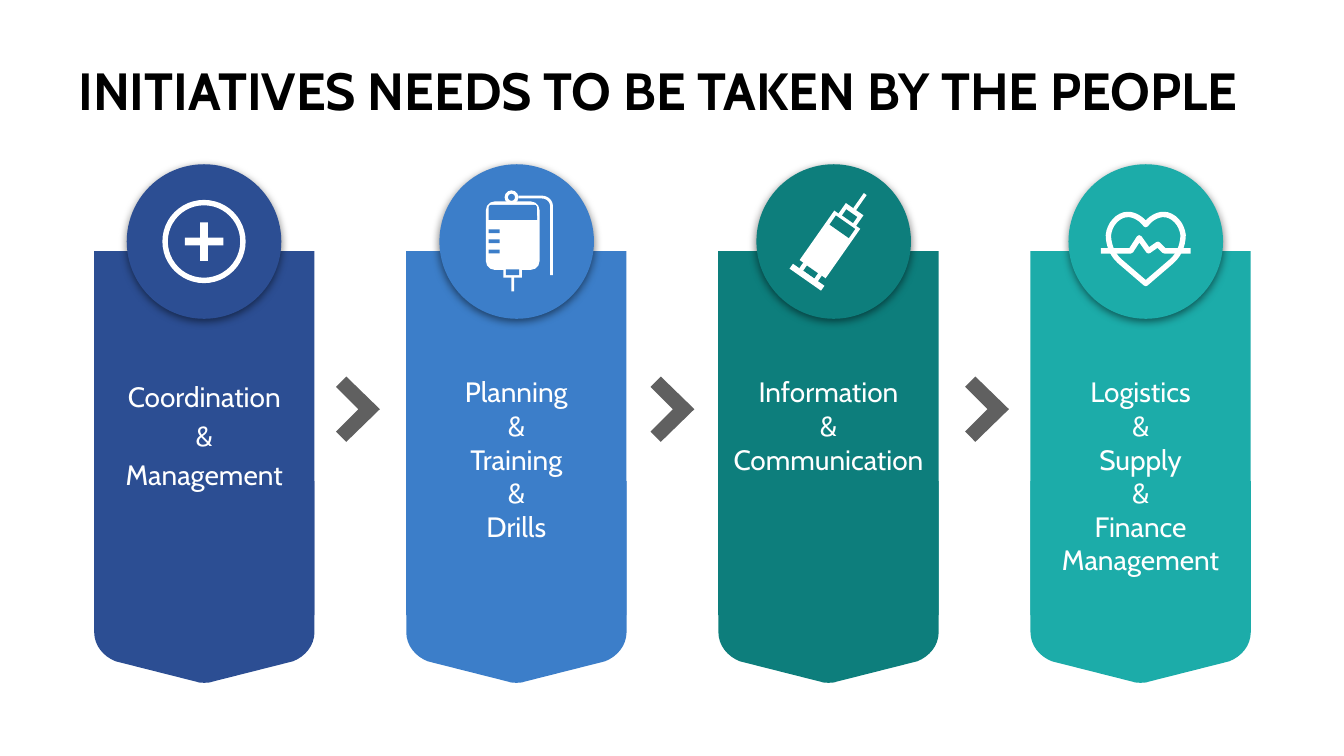
from math import cos, radians, sin

from lxml import etree
from pptx import Presentation
from pptx.dml.color import RGBColor
from pptx.enum.shapes import MSO_SHAPE
from pptx.enum.text import PP_ALIGN
from pptx.oxml.ns import qn
from pptx.util import Pt

RECT, OVAL = MSO_SHAPE.RECTANGLE, MSO_SHAPE.OVAL
DONUT, CROSS = MSO_SHAPE.DONUT, MSO_SHAPE.CROSS
ROUND, DOME = MSO_SHAPE.ROUNDED_RECTANGLE, MSO_SHAPE.ROUND_2_SAME_RECTANGLE
MID = PP_ALIGN.CENTER
FONT = "Cabin"
HUE = {"navy": "2C4E93", "blue": "3C7EC9", "pine": "0D7E7C", "teal": "1CACA9",
       "gray": "606060", "white": "FFFFFF", "black": "000000"}

# Content
TITLE = "INITIATIVES NEEDS TO BE TAKEN BY THE PEOPLE"
# colour, icon, circle centre, line spacing, label
STEPS = [
    ("navy", "plus", 109.3, 1.15, ["Coordination", "&", "Management"]),
    ("blue", "drip", 276.8, 1, ["Planning", "&", "Training", "&", "Drills"]),
    ("pine", "dose", 446.6, 1, ["Information", "&", "Communication"]),
    ("teal", "heart", 613.8, 1,
     ["Logistics", "&", "Supply", "&", "Finance", "Management"]),
]

# Outlines in points: a pair is a line end, six numbers are a curve
TIP = [(0, 0), (59, 0), (59, 81), (59, 88, 54, 94, 47.5, 96.5), (4, 107.5),
       (3, 108, 1, 108, 0, 108)]
HEART = [(0, -9), (2, -12, 6, -14.5, 9.5, -14.5), (15, -14.5, 19.5, -9, 20, -3.5),
         (20, 0, 19, 6, 14, 10.5), (0, 22.5)]
PULSE = [(-24, 5), (-8, 5), (-3.5, -2), (1.5, 5), (6.5, 1.5), (10, 5), (24, 5)]
HOOK = [(1, -23.8), (13.7, -23.8), (16.5, -23.8, 18.7, -21.5, 18.7, -19), (18.7, 18)]
ARROW = [(-6, -17.5), (-11.5, -12), (0.5, 0), (-11.5, 12), (-6, 17.5), (12, 0)]

# Drip parts: shape, white or not, left, top, width, height
DRIP = [(ROUND, 1, -16.5, -21.5, 28.8, 36.7), (DOME, 0, -15, -19.6, 25.9, 8),
        (RECT, 1, -7.2, 15, 10, 4.4), (RECT, 0, -5.8, 15, 7.2, 3),
        (RECT, 1, -2.9, 19, 1.5, 7.7), (DONUT, 1, -6.5, -27.4, 7.4, 7.4)]
DRIP += [(RECT, 0, -15, -6.5 + 5.4 * i, 5.8, 2) for i in range(3)]
# Syringe parts: white or not, place along the axis, length, width
DOSE = [(1, 0, 32.4, 17), (0, 11.6, 6, 12.6), (1, 19.5, 7.2, 11.5),
        (0, 18.5, 4, 7.2), (1, 28, 10, 1.9), (1, -18, 4, 12.2),
        (0, -18, 3.4, 7.2), (1, -21.4, 3.2, 20.6)]
TILT = 35

# Layout
LEFT, STEP, WIDE = 50.4, 167.2, 118.1
TOP, TALL, TIP_Y = 134.6, 195, 257.8
DISC, DISC_Y = 82.8, 129.4
TEXT_Y, TEXT_H = 193.7, 144


def tint(hue):
    return RGBColor.from_string(HUE[hue])


def paint(shape, hue):
    shape.shadow.inherit = False
    shape.fill.solid()
    shape.fill.fore_color.rgb = tint(hue)
    shape.line.fill.background()
    return shape


def preset(kind, x, y, w, h, hue):
    return paint(shapes.add_shape(kind, Pt(x), Pt(y), Pt(w), Pt(h)), hue)


def trace(path, count=8):
    """Turn a path into points, sampling its curves."""
    dots = [path[0]]
    for part in path[1:]:
        if len(part) == 2:
            dots.append(part)
            continue
        pts = [dots[-1], part[:2], part[2:4], part[4:]]
        for i in range(1, count + 1):
            t = i / count
            mix = ((1 - t) ** 3, 3 * t * (1 - t) ** 2, 3 * t * t * (1 - t), t ** 3)
            dots.append(tuple(sum(m * p[k] for m, p in zip(mix, pts)) for k in (0, 1)))
    return dots


def mirror(path):
    half = trace(path)
    return half + [(-x, y) for x, y in half[-2:0:-1]]


def draw(dots, x, y, hue, width=0, close=True):
    """Draw a filled outline, or a stroke when a width is given."""
    dots = [(a * 100, b * 100) for a, b in dots]
    pen = shapes.build_freeform(*dots[0], scale=Pt(0.01))
    pen.add_line_segments(dots[1:], close=close)
    shape = paint(pen.convert_to_shape(Pt(x), Pt(y)), hue)
    if width:
        shape.fill.background()
        shape.line.color.rgb = tint(hue)
        shape.line.width = Pt(width)


def shade(shape):
    box = shape._element.spPr.find(qn("a:effectLst"))
    cast = etree.SubElement(box, qn("a:outerShdw"), blurRad=str(Pt(4.5)),
                            dist=str(Pt(1.5)), dir="5400000", algn="bl", rotWithShape="0")
    tone = etree.SubElement(cast, qn("a:srgbClr"), val=HUE["black"])
    etree.SubElement(tone, qn("a:alpha"), val="50000")


def write(lines, x, y, w, h, size, hue, bold=False, space=1):
    frame = shapes.add_textbox(Pt(x), Pt(y), Pt(w), Pt(h)).text_frame
    frame.word_wrap = True
    frame.margin_left = frame.margin_right = Pt(7.2)
    frame.margin_top = frame.margin_bottom = Pt(7.2)
    frame.text = "\n".join(lines)
    for para in frame.paragraphs:
        para.alignment, para.line_spacing = MID, space
        font = para.font
        font.name, font.size, font.bold = FONT, Pt(size), bold
        font.color.rgb = tint(hue)


def badge(icon, x, y, hue):
    pair = (hue, "white")
    if icon == "plus":
        for kind, size, ratio in ((DONUT, 44.6, 0.065), (CROSS, 20.6, 0.4)):
            mark = preset(kind, x - size / 2, y - size / 2, size, size, "white")
            mark.adjustments[0] = ratio
    elif icon == "drip":
        for kind, lit, dx, dy, w, h in DRIP:
            part = preset(kind, x + dx, y + dy, w, h, pair[lit])
            if kind == DONUT:
                part.adjustments[0] = 0.24
        draw(trace(HOOK), x, y, "white", 1.5, False)
    elif icon == "dose":
        turn = radians(TILT)
        for lit, far, length, w in DOSE:
            px, py = x - 2 + far * sin(turn), y + 1.6 - far * cos(turn)
            part = preset(RECT, px - w / 2, py - length / 2, w, length, pair[lit])
            part.rotation = TILT
    else:
        draw(mirror(HEART), x, y, "white", 2.9)
        draw(PULSE, x, y, "white", 2.9, False)


deck = Presentation()
deck.slide_width, deck.slide_height = Pt(720), Pt(405)
shapes = deck.slides.add_slide(deck.slide_layouts[6]).shapes

# Arrows between the columns
for i in range(3):
    draw(ARROW, 191.5 + 168.5 * i, 219.2, "gray")

# Columns: banner, circle, icon, label
for i, (hue, icon, disc_x, space, label) in enumerate(STEPS):
    x = LEFT + STEP * i
    preset(RECT, x, TOP, WIDE, TALL, hue)
    shade(preset(OVAL, disc_x - DISC / 2, DISC_Y - DISC / 2, DISC, DISC, hue))
    draw(mirror(TIP), x + WIDE / 2, TIP_Y, hue)
    badge(icon, disc_x, DISC_Y, hue)
    write(label, x, TEXT_Y, WIDE, TEXT_H, 15, "white", space=space)

# Title
write([TITLE], 16.7, 23.8, 671, 45.4, 28, "black", bold=True)

deck.save("out.pptx")
